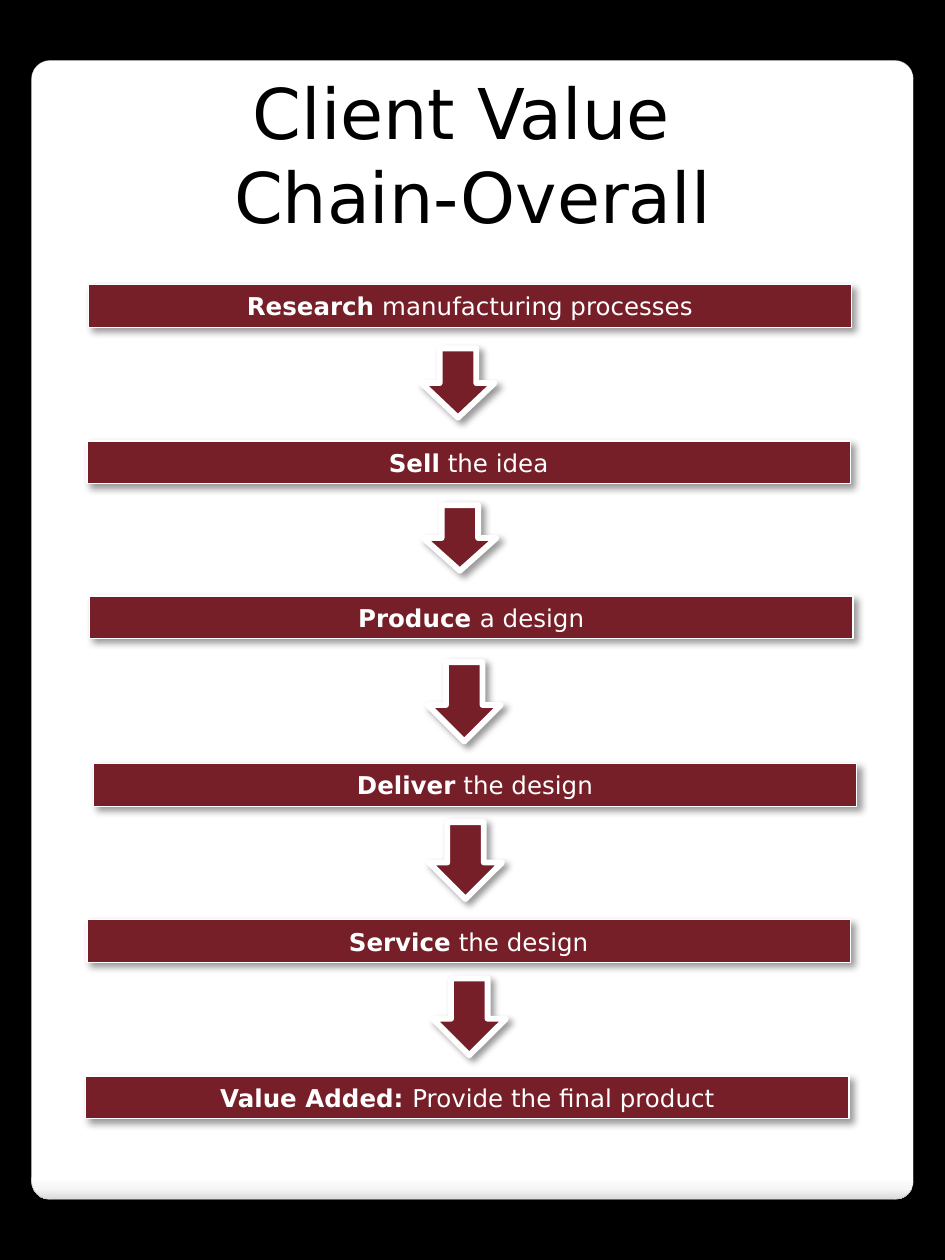
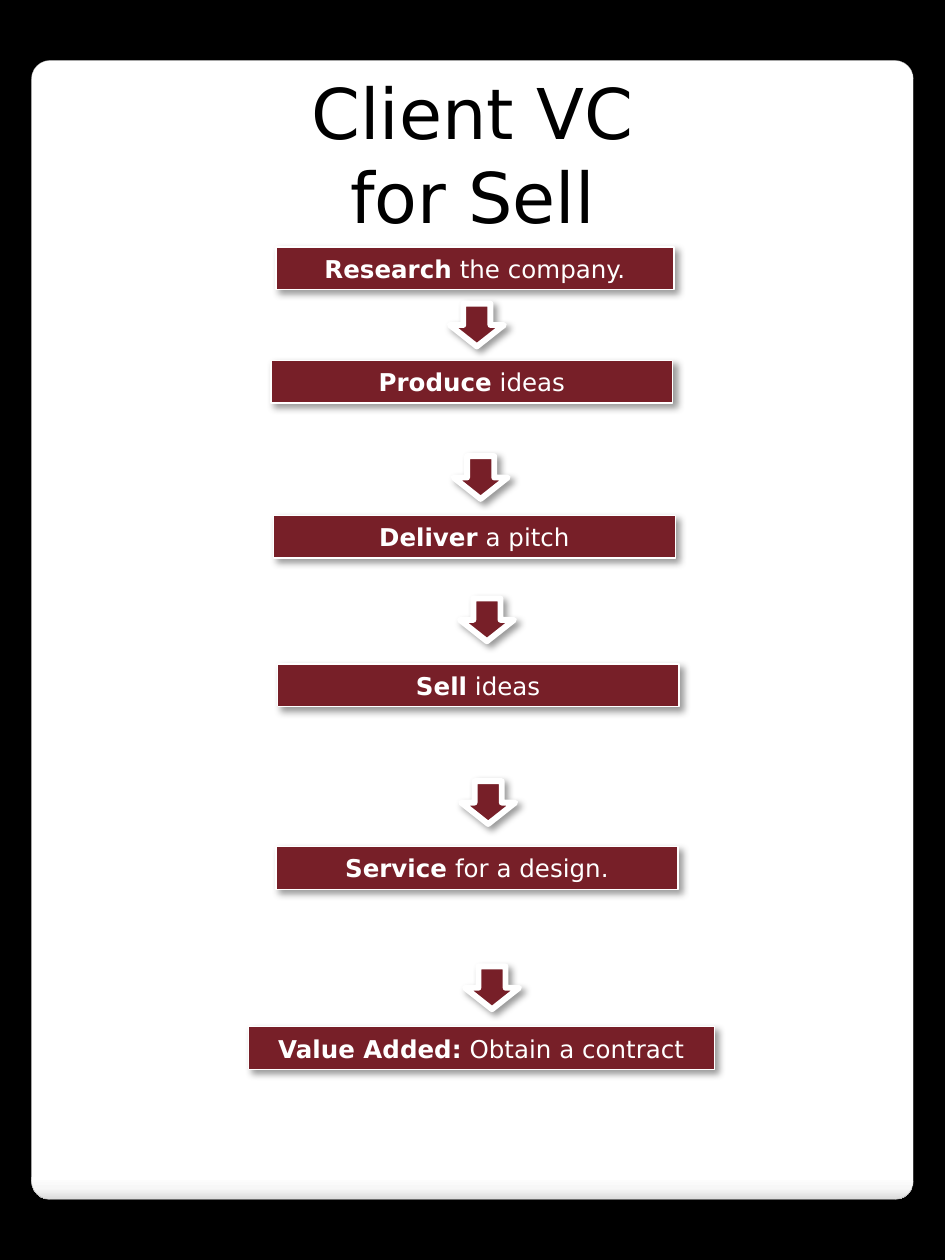
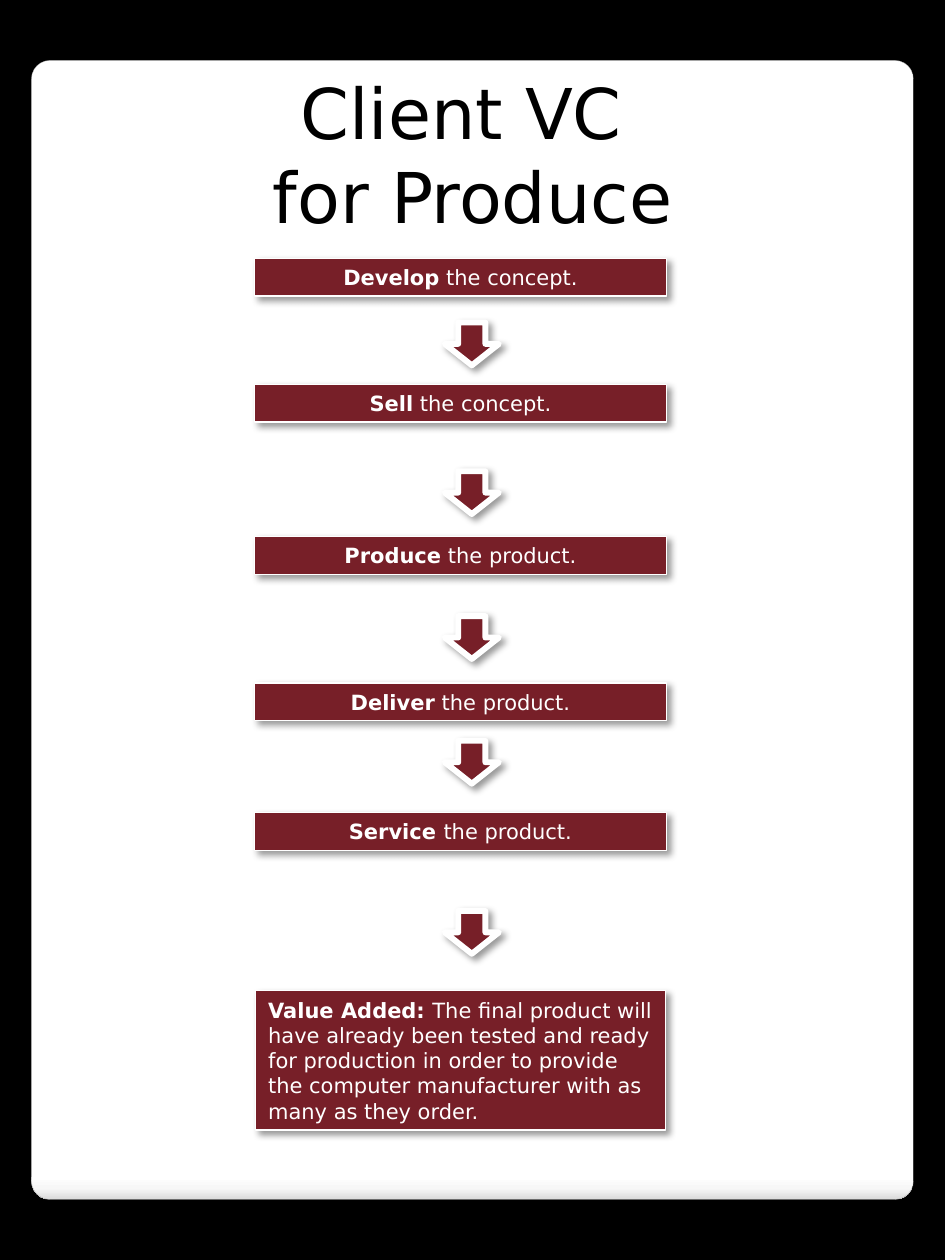
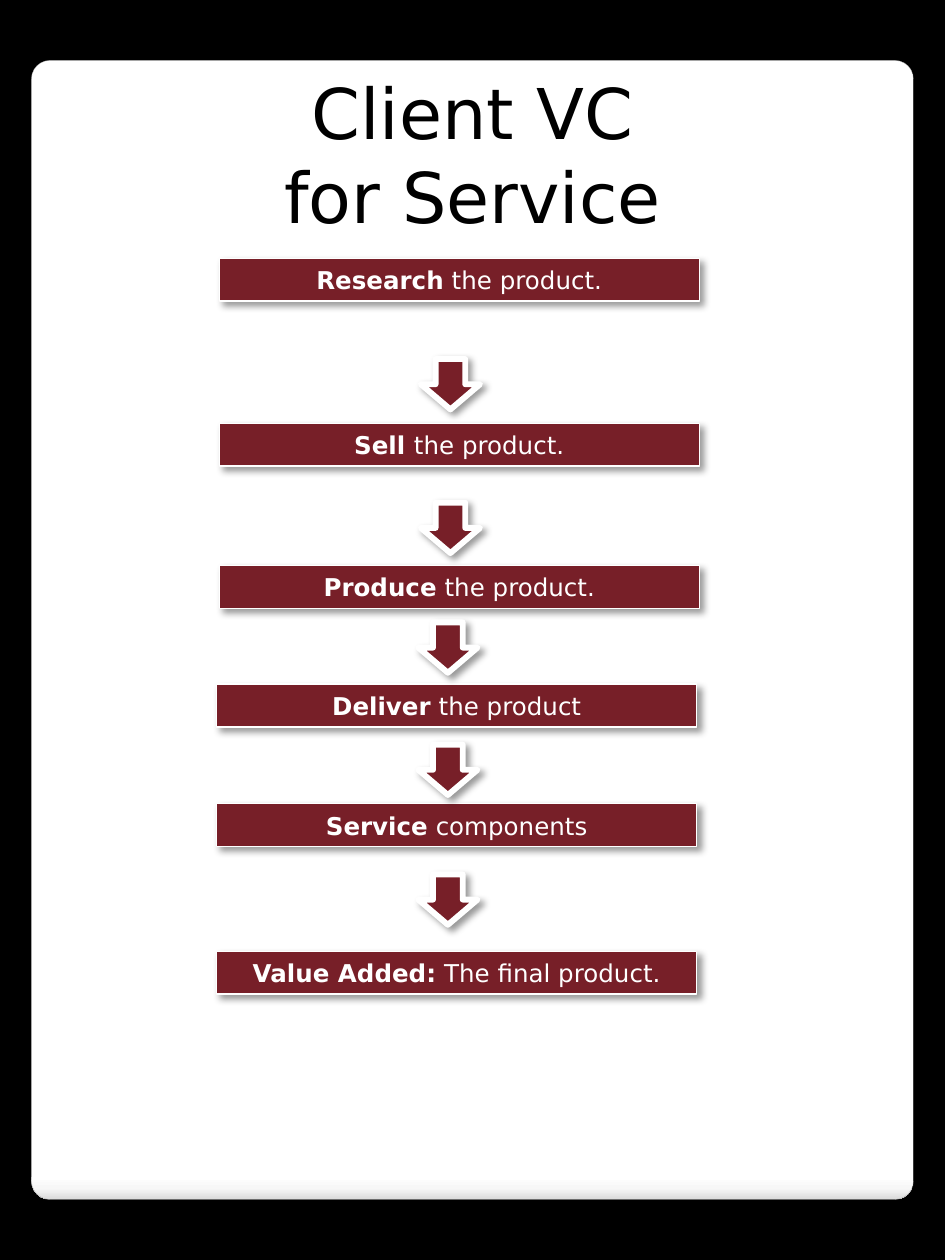
from lxml import etree
from pptx import Presentation
from pptx.dml.color import RGBColor
from pptx.enum.shapes import MSO_SHAPE as Kind
from pptx.enum.text import MSO_AUTO_SIZE as Fit, PP_ALIGN as Align
from pptx.oxml.ns import qn
from pptx.util import Inches, Pt

BLACK = RGBColor(0x00, 0x00, 0x00)
WHITE = RGBColor(0xFF, 0xFF, 0xFF)
WINE = RGBColor(0x77, 0x1F, 0x28)
GREY = RGBColor(0xA4, 0xA4, 0xA4)
MIST = RGBColor(0xF7, 0xF7, 0xF7)
ASH = RGBColor(0xDA, 0xDA, 0xDA)
FADE = [(0, WHITE), (98, WHITE), (99, MIST), (100, ASH)]
FONT = "DejaVu Sans"


class Deck:
    """Holds the shared style and the current slide."""

    def __init__(self):
        self.prs = Presentation()
        self.prs.slide_width, self.prs.slide_height = Inches(7.5), Inches(10)
        back = self.prs.slide_master.background.fill
        back.solid()
        back.fore_color.rgb = BLACK
        self.blank = self.prs.slide_layouts[6]
        for item in list(self.blank.placeholders):
            item.element.getparent().remove(item.element)
        self.page()
        self.blank.shapes.element.append(self.panel().element)

    def page(self):
        self.slide = self.prs.slides.add_slide(self.blank)

    def shape(self, kind, x, y, w, h, line, width):
        box = map(Inches, (x, y, w, h))
        shape = self.slide.shapes.add_shape(kind, *box)
        shape.fill.solid()
        shape.fill.fore_color.rgb = WINE
        shape.line.color.rgb = line
        shape.line.width = Pt(width)
        return shape

    def shade(self, shape, alpha, blur, dist, angle):
        shape.shadow.inherit = False
        effect = shape.element.spPr.find(qn("a:effectLst"))
        outer = etree.SubElement(
            effect, qn("a:outerShdw"), blurRad=str(Pt(blur)), dist=str(Pt(dist)),
            dir=str(angle * 60000), algn="ctr", rotWithShape="0")
        tint = etree.SubElement(outer, qn("a:srgbClr"), val=str(BLACK))
        etree.SubElement(tint, qn("a:alpha"), val=str(alpha * 1000))

    def panel(self):
        panel = self.shape(Kind.ROUNDED_RECTANGLE, 0.25, 0.48, 7, 9.04, GREY, 0.16)
        panel.adjustments[0] = 0.021
        panel.fill.gradient()
        panel.fill.gradient_angle = 270
        stops = panel.element.spPr.find(".//" + qn("a:gsLst"))
        for stop in list(stops):
            stops.remove(stop)
        for place, color in FADE:
            stop = etree.SubElement(stops, qn("a:gs"), pos=str(place * 1000))
            etree.SubElement(stop, qn("a:srgbClr"), val=str(color))
        self.shade(panel, 25, 6, 4, 90)
        return panel

    def style(self, para, size, color, align):
        para.alignment = align
        para.font.name = FONT
        para.font.size = Pt(size)
        para.font.color.rgb = color

    def title(self, lines):
        box = self.slide.shapes.add_textbox(*map(Inches, (0.25, 0.5, 7, 1.45)))
        frame = box.text_frame
        frame.word_wrap = True
        frame.auto_size = Fit.SHAPE_TO_FIT_TEXT
        frame.text = "\n".join(lines)
        for para in frame.paragraphs:
            self.style(para, 40, BLACK, Align.CENTER)

    def bar(self, x, y, w, verb, rest, size, h, align=Align.CENTER):
        bar = self.shape(Kind.RECTANGLE, x, y, w, h, WHITE, 0.75)
        self.shade(bar, 40, 4, 3, 45)
        frame = bar.text_frame
        frame.word_wrap = True
        frame.auto_size = Fit.SHAPE_TO_FIT_TEXT
        para = frame.paragraphs[0]
        for text, bold in ((verb, True), (rest, False)):
            run = para.add_run()
            run.text = text
            run.font.bold = bold
        self.style(para, size, WHITE, align)

    def arrow(self, x, y, w, h, kind=Kind.DOWN_ARROW, turn=0):
        arrow = self.shape(kind, x, y, w, h, WHITE, 3.35)
        arrow.rotation = turn
        self.shade(arrow, 40, 4, 3, 45)

    def chain(self, title, bars, size=14, h=0.34):
        self.title(title)
        for bar in bars:
            self.bar(*bar, size, h)

    def arrows(self, spots, w, h):
        for x, y in spots:
            self.arrow(x, y, w, h)


def main():
    deck = Deck()
    deck.chain(["Client Value ", "Chain-Overall"], [
        (0.7, 2.26, 6.06, "Research", " manufacturing processes"),
        (0.69, 3.5, 6.06, "Sell", " the idea"),
        (0.71, 4.73, 6.06, "Produce ", "a design"),
        (0.74, 6.06, 6.06, "Deliver", " the design"),
        (0.69, 7.3, 6.06, "Service", " the design"),
        (0.68, 8.54, 6.06, "Value Added: ", "Provide the final product"),
    ])
    for x, y, w in [(3.36, 2.75, 0.55), (3.39, 3.98, 0.52), (3.37, 5.28, 0.63),
                    (3.39, 6.54, 0.61), (3.42, 7.78, 0.61)]:
        deck.arrow(x, y, w, 0.58, Kind.LEFT_ARROW, 270)

    deck.page()
    deck.chain(["Client VC", "for Sell"], [
        (2.19, 1.96, 3.16, "Research", " the company."),
        (2.15, 2.86, 3.19, "Produce", " ideas"),
        (2.17, 4.09, 3.19, "Deliver", " a pitch"),
        (2.2, 5.27, 3.19, "Sell", " ideas"),
        (2.19, 6.72, 3.19, "Service", " for a design."),
        (1.97, 8.15, 3.7, "Value Added:", " Obtain a contract"),
    ])
    deck.arrows([(3.57, 2.41), (3.6, 3.62), (3.65, 4.75), (3.66, 6.2),
                 (3.69, 7.67)], 0.43, 0.34)

    deck.page()
    deck.chain(["Client VC ", "for Produce"], [
        (2.02, 2.05, 3.27, "Develop", " the concept."),
        (2.02, 3.05, 3.27, "Sell", " the concept."),
        (2.02, 4.26, 3.27, "Produce", " the product."),
        (2.02, 5.42, 3.27, "Deliver", " the product."),
        (2.02, 6.45, 3.27, "Service ", "the product."),
    ], 12, 0.3)
    deck.bar(2.03, 7.86, 3.25, "Value Added: ",
             "The final product will have already been tested and ready for "
             "production in order to provide the computer manufacturer with "
             "as many as they order.", 12, 1.11, Align.LEFT)
    deck.arrows([(3.53, y) for y in (2.56, 3.74, 4.89, 5.88, 7.23)], 0.43, 0.34)

    deck.page()
    deck.chain(["Client VC", "for Service"], [
        (1.74, 2.05, 3.81, "Research", " the product."),
        (1.74, 3.36, 3.81, "Sell ", "the product."),
        (1.74, 4.49, 3.81, "Produce", " the product."),
        (1.72, 5.43, 3.81, "Deliver", " the product"),
        (1.72, 6.38, 3.81, "Service", " components"),
        (1.72, 7.55, 3.81, "Value Added:", " The final product."),
    ])
    deck.arrows([(3.34, 2.85), (3.34, 3.99), (3.32, 4.94), (3.32, 5.91),
                 (3.32, 6.94)], 0.47, 0.4)
    deck.prs.save("out.pptx")


if __name__ == "__main__":
    main()
